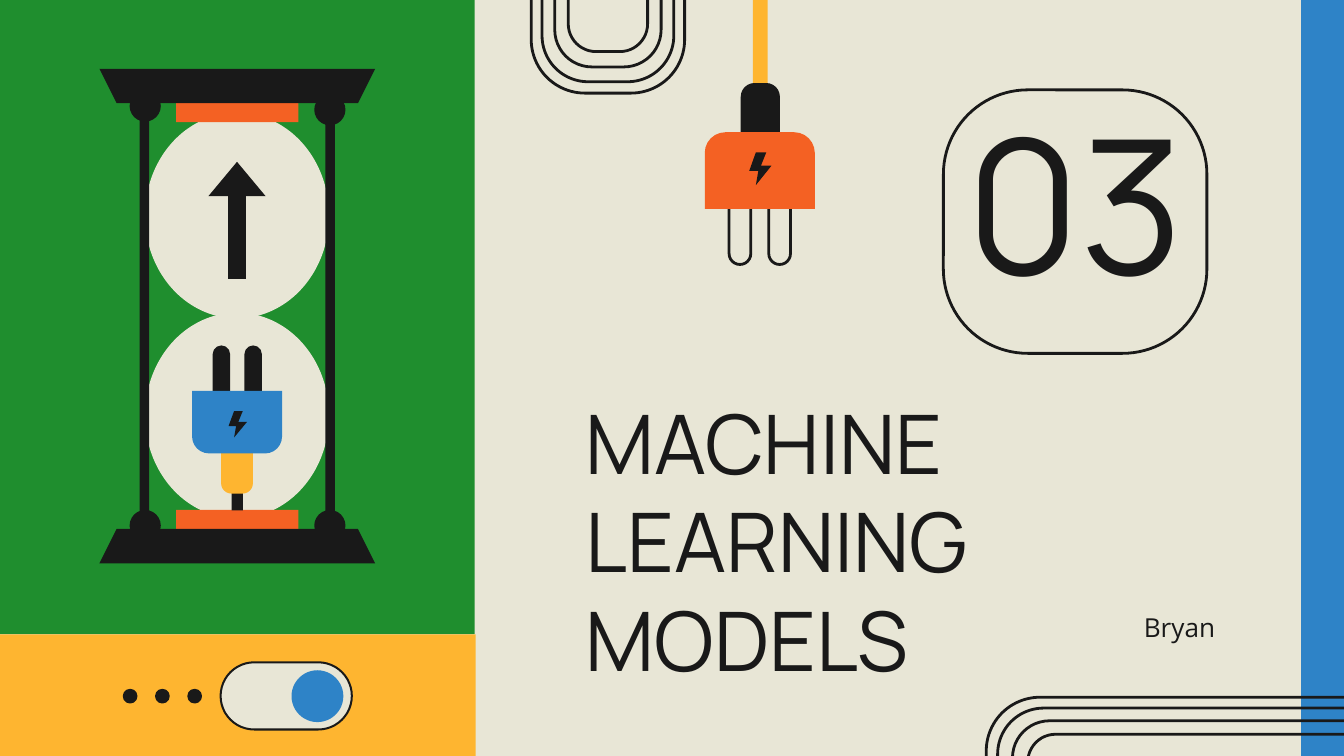
from dataclasses import dataclass
from typing import Optional

from pptx import Presentation
from pptx.dml.color import RGBColor
from pptx.enum.shapes import MSO_SHAPE as S
from pptx.enum.text import MSO_ANCHOR, MSO_AUTO_SIZE, PP_ALIGN
from pptx.util import Cm, Pt


@dataclass(frozen=True)
class Theme:
    ink: str = "191919"
    paper: str = "E8E6D6"
    green: str = "1F8E2E"
    yellow: str = "FEB530"
    orange: str = "F46123"
    blue: str = "2E83C7"
    title_font: str = "Manrope"
    body_font: str = "Open Sans"
    number_pt: float = 100
    title_pt: float = 44
    body_pt: float = 14
    outline_pt: float = 1.5
    thin_pt: float = 1.09


T = Theme()


@dataclass(frozen=True)
class Part:
    """A preset shape; lengths are in centimetres."""
    kind: S
    x: float
    y: float
    w: float
    h: float
    fill: Optional[str] = None
    line: Optional[str] = None
    line_pt: float = T.outline_pt
    adj: tuple[float, ...] = ()
    rot: float = 0


@dataclass(frozen=True)
class Label:
    text: str
    x: float
    y: float
    w: float
    h: float
    font: str
    size: float
    align: PP_ALIGN
    anchor: MSO_ANCHOR = MSO_ANCHOR.TOP


BOLT = ((0.3, 0), (0, 0.57), (0.41, 0.57), (0.3, 1), (1, 0.41), (0.53, 0.41), (0.77, 0))
LOOPS = ((9.98, 2.9), (9.55, 2.49), (8.99, 2.01), (8.41, 1.5))

PANELS = [
    Part(S.RECTANGLE, 0, 0, 8.97, 11.99, T.green),
    Part(S.RECTANGLE, 0, 11.99, 8.99, 2.3, T.yellow),
    Part(S.RECTANGLE, 24.59, 0, 0.81, 14.29, T.blue),
]
NUMBER_FRAME = Part(S.ROUNDED_RECTANGLE, 17.83, 1.7, 4.98, 4.98, line=T.ink, adj=(0.32,))

TOGGLE = [
    Part(S.ROUNDED_RECTANGLE, 4.17, 12.52, 2.48, 1.27, T.paper, T.ink, T.thin_pt, (0.5,)),
    Part(S.OVAL, 5.51, 12.67, 0.98, 0.98, T.blue),
    *(Part(S.OVAL, 2.34 + 0.61 * i, 13.04, 0.24, 0.24, T.ink, T.ink, T.thin_pt)
      for i in range(3)),
]
HOURGLASS = [
    *(Part(S.OVAL, 2.74, y, 3.48, 3.89, T.paper) for y in (2.13, 5.91)),
    *(Part(S.OVAL, x, y, 0.59, 0.59, T.ink)
      for x, top in ((2.45, 1.71), (5.94, 1.78)) for y in (top, 9.64)),
    *(Part(S.RECTANGLE, x, 2.02, 0.18, 7.9, T.ink) for x in (2.64, 6.15)),
    *(Part(S.RECTANGLE, 3.33, y, 2.31, 0.53, T.orange) for y in (1.78, 9.64)),
    *(Part(S.TRAPEZOID, 1.88, y, 5.21, 0.65, T.ink, adj=(0.5,), rot=rot)
      for y, rot in ((1.3, 180), (10, 0))),
    Part(S.UP_ARROW, 3.94, 3.06, 1.08, 2.21, T.ink, adj=(0.31, 0.6)),
]
UPRIGHT_PLUG = [
    Part(S.RECTANGLE, 4.38, 8.89, 0.21, 0.76, T.ink),
    Part(S.ROUNDED_RECTANGLE, 4.18, 7.98, 0.6, 1.35, T.yellow, adj=(0.32,)),
    *(Part(S.ROUNDED_RECTANGLE, x, 6.53, 0.33, 1.55, T.ink, adj=(0.5,)) for x in (4.02, 4.62)),
    Part(S.ROUND_2_SAME_RECTANGLE, 3.63, 7.39, 1.7, 1.18, T.blue, adj=(0.27, 0), rot=180),
]
HANGING_PLUG = [
    Part(S.RECTANGLE, 14.23, 0, 0.28, 3.18, T.yellow),
    Part(S.ROUNDED_RECTANGLE, 14, 1.57, 0.74, 1.65, T.ink, adj=(0.35,)),
    *(Part(S.ROUNDED_RECTANGLE, x, 3.1, 0.41, 1.9, line=T.ink, adj=(0.5,))
      for x in (13.78, 14.53)),
    Part(S.ROUND_2_SAME_RECTANGLE, 13.32, 2.5, 2.08, 1.45, T.orange, adj=(0.27, 0)),
]

TITLE = Label("MACHINE LEARNING MODELS", 10.82, 7.16, 12.4, 3.96,
              T.title_font, T.title_pt, PP_ALIGN.LEFT)
NUMBER = Label("03", 17.45, 1.78, 5.74, 4.01,
               T.title_font, T.number_pt, PP_ALIGN.CENTER, MSO_ANCHOR.MIDDLE)
AUTHOR = Label("Bryan", 10.82, 11.3, 12.4, 1.19, T.body_font, T.body_pt, PP_ALIGN.RIGHT)


def rgb(color: str) -> RGBColor:
    return RGBColor.from_string(color)


def paint(sp, fill: Optional[str], line: Optional[str] = None, line_pt: float = 0) -> None:
    sp.shadow.inherit = False
    if fill:
        sp.fill.solid()
        sp.fill.fore_color.rgb = rgb(fill)
    else:
        sp.fill.background()
    if line:
        sp.line.color.rgb = rgb(line)
        sp.line.width = Pt(line_pt)
    else:
        sp.line.fill.background()


def draw(shapes, parts: list[Part]) -> None:
    for part in parts:
        sp = shapes.add_shape(part.kind, Cm(part.x), Cm(part.y), Cm(part.w), Cm(part.h))
        for i, value in enumerate(part.adj):
            sp.adjustments[i] = value
        sp.rotation = part.rot
        paint(sp, part.fill, part.line, part.line_pt)


def draw_bolt(shapes, x: float, y: float, w: float, h: float) -> None:
    points = [(Cm(x + w * u), Cm(y + h * v)) for u, v in BOLT]
    builder = shapes.build_freeform(*points[0])
    builder.add_line_segments(points[1:], close=True)
    paint(builder.convert_to_shape(), T.ink)


def loops(cx: float, cy: float, upright: bool) -> list[Part]:
    """Nested rounded outlines that share one centre."""
    sizes = [(short, long) if upright else (long, short) for long, short in LOOPS]
    return [Part(S.ROUNDED_RECTANGLE, cx - w / 2, cy - h / 2, w, h, line=T.ink, adj=(0.35,))
            for w, h in sizes]


def write(sp, label: Label) -> None:
    sp.left, sp.top, sp.width, sp.height = map(Cm, (label.x, label.y, label.w, label.h))
    tf = sp.text_frame
    tf.text = label.text
    tf.word_wrap = True
    tf.auto_size = MSO_AUTO_SIZE.NONE
    tf.vertical_anchor = label.anchor
    tf.margin_left = tf.margin_right = tf.margin_top = tf.margin_bottom = Cm(0.25)
    p = tf.paragraphs[0]
    p.alignment = label.align
    font = p.runs[0].font
    font.name, font.size = label.font, Pt(label.size)
    font.color.rgb = rgb(T.ink)


def main() -> None:
    prs = Presentation()
    prs.slide_width, prs.slide_height = Cm(25.4), Cm(14.29)
    slide = prs.slides.add_slide(prs.slide_layouts[5])
    slide.background.fill.solid()
    slide.background.fill.fore_color.rgb = rgb(T.paper)
    shapes = slide.shapes

    draw(shapes, PANELS)
    for parts in (loops(11.49, -3.23, True), loops(23.63, 14.63, False), TOGGLE, HOURGLASS):
        draw(shapes.add_group_shape().shapes, parts)
    for parts, bolt in ((UPRIGHT_PLUG, (4.32, 7.77, 0.35, 0.5)),
                        (HANGING_PLUG, (14.16, 2.88, 0.42, 0.62))):
        plug = shapes.add_group_shape().shapes
        draw(plug, parts)
        draw_bolt(plug, *bolt)
    draw(shapes, [NUMBER_FRAME])

    write(shapes.title, TITLE)
    for label in (NUMBER, AUTHOR):
        write(shapes.add_textbox(0, 0, 0, 0), label)
    prs.save("out.pptx")


if __name__ == "__main__":
    main()
